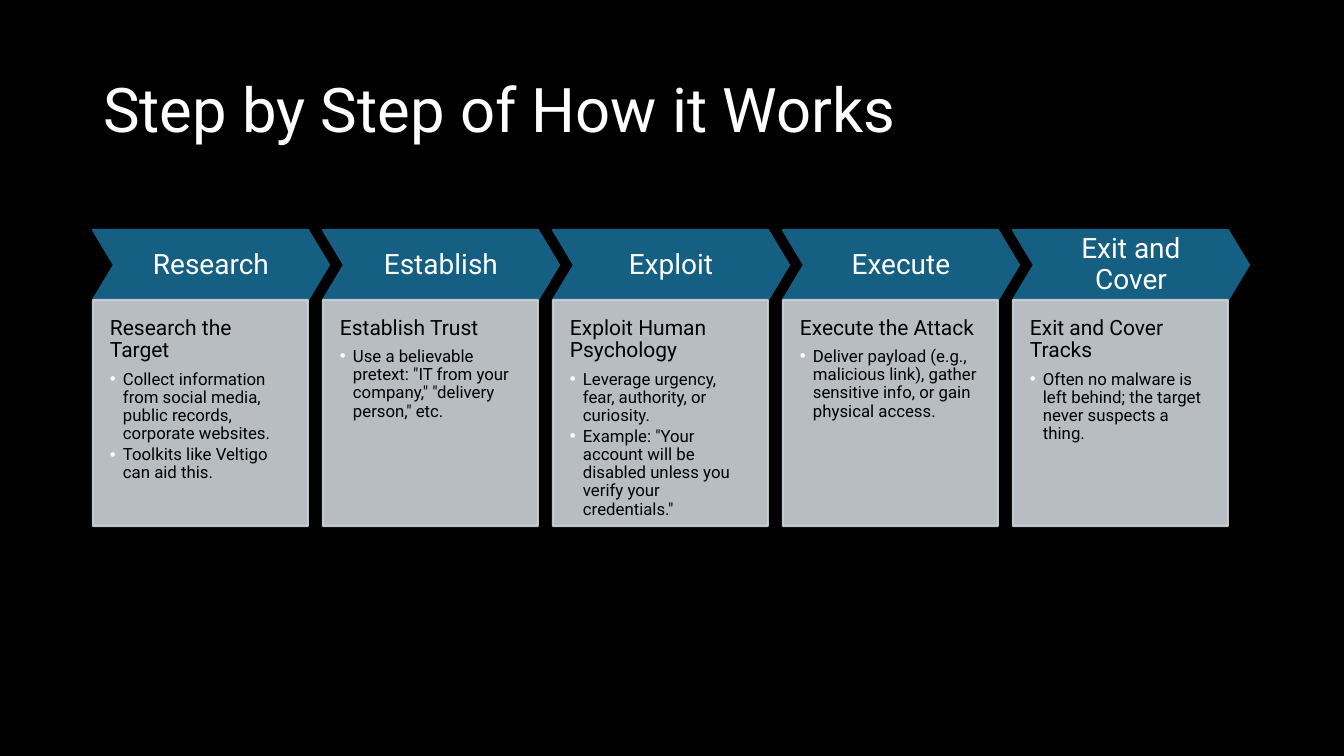
from lxml import etree
from pptx import Presentation
from pptx.dml.color import RGBColor
from pptx.enum.shapes import MSO_SHAPE
from pptx.enum.text import MSO_ANCHOR, PP_ALIGN
from pptx.oxml.ns import qn
from pptx.util import Pt

CHEVRON, RECTANGLE = MSO_SHAPE.CHEVRON, MSO_SHAPE.RECTANGLE
TOP, MIDDLE = MSO_ANCHOR.TOP, MSO_ANCHOR.MIDDLE
LEFT, CENTER = PP_ALIGN.LEFT, PP_ALIGN.CENTER

TITLE = "Step by Step of How it Works"
STEPS = [
    ("Research", "Research the Target", [
        "Collect information from social media, public records, corporate websites.",
        "Toolkits like Veltigo can aid this."]),
    ("Establish", "Establish Trust", [
        'Use a believable pretext: "IT from your company," "delivery person," etc.']),
    ("Exploit", "Exploit Human Psychology", [
        "Leverage urgency, fear, authority, or curiosity.",
        'Example: "Your account will be disabled unless you verify your credentials."']),
    ("Execute", "Execute the Attack", [
        "Deliver payload (e.g., malicious link), gather sensitive info, or gain physical access."]),
    ("Exit and Cover", "Exit and Cover Tracks", [
        "Often no malware is left behind; the target never suspects a thing."]),
]
COLORS = {"back": "000000", "light": "FFFFFF", "dark": "000000",
          "arrow": "156082", "card": "CCD2D8"}
FONT = "Roboto"
SLIDE_W, SLIDE_H = 1344, 756
STEP_X, STEP_Y, PITCH = 93, 230, 230
ARROW_W, ARROW_H, CARD_W, CARD_H = 236, 70, 215, 226
ARROW_INSETS = (9, 9, 9, 9)
CARD_INSETS = (17, 17, 17, 34)
INDENT = 13
CARD_OPACITY = 90


def px(n):
    return round(n * 914400 / 100.8)


def rgb(name):
    return RGBColor.from_string(COLORS[name])


def style(p, size, color, align=LEFT, after=0):
    p.alignment = align
    p.line_spacing = 0.9
    p.space_before = Pt(0)
    p.space_after = Pt(after)
    for r in p.runs:
        r.font.name = FONT
        r.font.size = Pt(size)
        r.font.color.rgb = rgb(color)


def add_bullet(p):
    p.level = 1
    pPr = p._p.get_or_add_pPr()
    pPr.set("marL", str(px(INDENT)))
    pPr.set("indent", str(-px(INDENT)))
    color = etree.SubElement(pPr, qn("a:buClr"))
    etree.SubElement(color, qn("a:srgbClr"), val=COLORS["light"])
    etree.SubElement(pPr, qn("a:buFont"), typeface="Arial")
    etree.SubElement(pPr, qn("a:buChar"), char="•")


def add_box(slide, kind, x, y, w, h, color, insets, anchor):
    sp = slide.shapes.add_shape(kind, px(x), px(y), px(w), px(h))
    sp.shadow.inherit = False
    sp.fill.solid()
    sp.fill.fore_color.rgb = rgb(color)
    sp.line.color.rgb = rgb(color)
    sp.line.width = Pt(1.5)
    tf = sp.text_frame
    tf.word_wrap = True
    tf.vertical_anchor = anchor
    tf.margin_left, tf.margin_top, tf.margin_right, tf.margin_bottom = map(px, insets)
    return sp


def add_arrow(slide, x, label):
    sp = add_box(slide, CHEVRON, x, STEP_Y, ARROW_W, ARROW_H, "arrow", ARROW_INSETS, MIDDLE)
    sp.adjustments[0] = 0.3
    p = sp.text_frame.paragraphs[0]
    p.text = label
    style(p, 20, "light", CENTER, 8)


def add_card(slide, x, heading, points):
    sp = add_box(slide, RECTANGLE, x, STEP_Y + ARROW_H, CARD_W, CARD_H, "card", CARD_INSETS, TOP)
    for color in sp._element.spPr.iter(qn("a:srgbClr")):
        etree.SubElement(color, qn("a:alpha"), val=str(CARD_OPACITY * 1000))
    tf = sp.text_frame
    p = tf.paragraphs[0]
    p.text = heading
    style(p, 15, "dark", after=6)
    for point in points:
        p = tf.add_paragraph()
        p.text = point
        add_bullet(p)
        style(p, 12, "dark", after=2)


def main():
    prs = Presentation()
    prs.slide_width, prs.slide_height = px(SLIDE_W), px(SLIDE_H)
    slide = prs.slides.add_slide(prs.slide_layouts[5])
    slide.background.fill.solid()
    slide.background.fill.fore_color.rgb = rgb("back")

    title = slide.shapes.title
    title.left, title.top, title.width, title.height = map(px, (93, 40, 1159, 146))
    title.text_frame.text = TITLE
    title.text_frame.vertical_anchor = MIDDLE
    style(title.text_frame.paragraphs[0], 44, "light")

    for i, (label, heading, points) in enumerate(STEPS):
        x = STEP_X + i * PITCH
        add_arrow(slide, x, label)
        add_card(slide, x, heading, points)

    prs.save("out.pptx")


if __name__ == "__main__":
    main()
